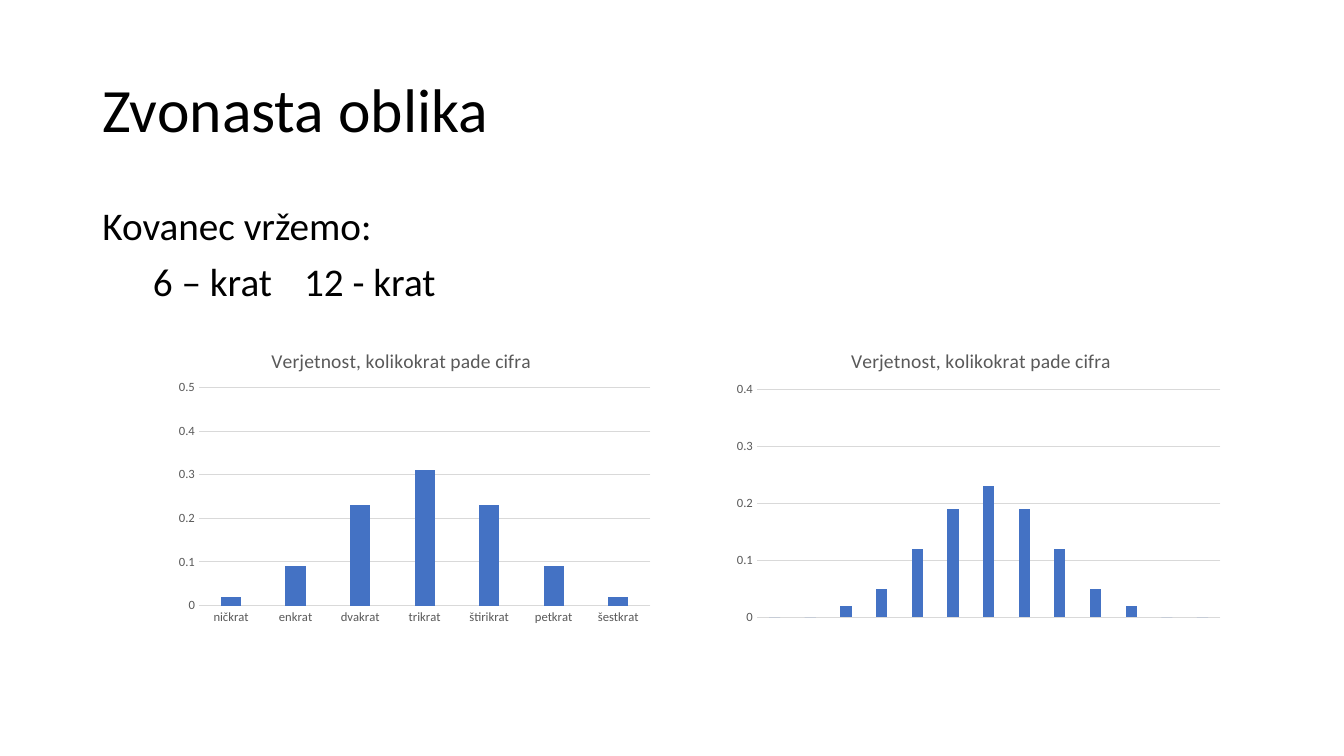
"""Build the slide on the bell shape of coin-toss probabilities."""
from dataclasses import dataclass
from math import comb

from lxml import etree
from pptx import Presentation
from pptx.chart.chart import Chart
from pptx.chart.data import CategoryChartData
from pptx.dml.color import RGBColor
from pptx.enum.chart import XL_CHART_TYPE, XL_TICK_MARK
from pptx.enum.text import MSO_ANCHOR, MSO_AUTO_SIZE, PP_ALIGN
from pptx.oxml import parse_xml
from pptx.oxml.ns import nsdecls, qn
from pptx.util import Pt

COLUMNS = XL_CHART_TYPE.COLUMN_CLUSTERED
NO_TICK = XL_TICK_MARK.NONE
MIDDLE, TOP = MSO_ANCHOR.MIDDLE, MSO_ANCHOR.TOP
NO_FIT = MSO_AUTO_SIZE.NONE
LEFT = PP_ALIGN.LEFT
PX = 9525
FONT = "Calibri"
COLORS = {"text": "000000", "label": "595959", "grid": "D9D9D9", "bar": "4472C4"}


@dataclass(frozen=True)
class Box:
    left: int
    top: int
    width: int
    height: int


@dataclass(frozen=True)
class TossChart:
    box: Box
    categories: list[str]
    maximum: float
    plot: tuple[float, float, float, float]
    show_categories: bool

    @property
    def probabilities(self) -> list[float]:
        tosses = len(self.categories) - 1
        return [round(comb(tosses, k) / 2**tosses, 2) for k in range(tosses + 1)]


TITLE_BOX = Box(88, 38, 1104, 139)
BODY_BOX = Box(88, 192, 1104, 457)
TAB_STOPS = (192, 757)
BODY_LINES = ("Kovanec vržemo:", "\t6 – krat\t12 - krat")
CHART_TITLE = "Verjetnost, kolikokrat pade cifra"
TITLE_CORNER = (0.24, 0.05)
TOSS_CHARTS = (
    TossChart(Box(692, 313, 480, 288), [str(n) for n in range(1, 14)],
              0.4, (0.06, 0.2, 0.92, 0.755), False),
    TossChart(Box(140, 313, 480, 288),
              ["ničkrat", "enkrat", "dvakrat", "trikrat", "štirikrat", "petkrat", "šestkrat"],
              0.5, (0.103, 0.195, 0.897, 0.721), True),
)


def rgb(name: str) -> RGBColor:
    return RGBColor.from_string(COLORS[name])


def style_font(font, size: float, color: str) -> None:
    font.name = FONT
    font.size = Pt(size)
    font.bold = False
    font.color.rgb = rgb(color)


def fill_placeholder(shape, box: Box, lines: tuple[str, ...], size: int, anchor) -> None:
    shape.left, shape.top = box.left * PX, box.top * PX
    shape.width, shape.height = box.width * PX, box.height * PX
    frame = shape.text_frame
    frame.word_wrap = True
    frame.auto_size = NO_FIT
    frame.vertical_anchor = anchor
    for index, line in enumerate(lines):
        para = frame.add_paragraph() if index else frame.paragraphs[0]
        para.alignment = LEFT
        para.line_spacing = 0.9
        para.space_before = Pt(10 if index else 0)
        span = para.add_run()
        span.text = line
        style_font(span.font, size, "text")


def clear_bullet(para, tab_stops: tuple[int, ...]) -> None:
    properties = para._p.get_or_add_pPr()
    properties.set("marL", "0")
    properties.set("indent", "0")
    etree.SubElement(properties, qn("a:buNone"))
    tabs = etree.SubElement(properties, qn("a:tabLst"))
    for stop in tab_stops:
        etree.SubElement(tabs, qn("a:tab"), pos=str(stop * PX), algn="l")


def set_layout(parent, index: int, target: str, fractions: tuple[float, ...]) -> None:
    for old in parent.findall(qn("c:layout")):
        parent.remove(old)
    names = ("x", "y", "w", "h")[:len(fractions)]
    modes = "".join(f'<c:{name}Mode val="edge"/>' for name in names[:2])
    places = "".join(f'<c:{name} val="{value}"/>' for name, value in zip(names, fractions))
    parent.insert(index, parse_xml(
        f'<c:layout {nsdecls("c")}><c:manualLayout>{target}{modes}{places}'
        "</c:manualLayout></c:layout>"))


def style_axes(chart: Chart, toss: TossChart) -> None:
    for axis in (chart.category_axis, chart.value_axis):
        axis.major_tick_mark = axis.minor_tick_mark = NO_TICK
        style_font(axis.tick_labels.font, 9, "label")
    categories, values = chart.category_axis, chart.value_axis
    categories.visible = toss.show_categories
    categories.format.line.color.rgb = rgb("grid")
    categories.format.line.width = Pt(0.75)
    values.minimum_scale, values.maximum_scale = 0, toss.maximum
    values.major_unit = 0.1
    values.format.line.fill.background()
    values.has_major_gridlines = True
    values.major_gridlines.format.line.color.rgb = rgb("grid")
    values.major_gridlines.format.line.width = Pt(0.75)


def add_toss_chart(page, toss: TossChart) -> None:
    data = CategoryChartData()
    data.categories = toss.categories
    data.add_series("Series 1", toss.probabilities)
    box = toss.box
    chart = page.shapes.add_chart(
        COLUMNS, box.left * PX, box.top * PX, box.width * PX, box.height * PX, data).chart
    style_font(chart.font, 10, "text")
    chart.has_legend = False
    chart.has_title = True
    span = chart.chart_title.text_frame.paragraphs[0].add_run()
    span.text = CHART_TITLE
    style_font(span.font, 14, "label")
    chart.chart_title.include_in_layout = False
    set_layout(chart.chart_title._element, 1, "", TITLE_CORNER)
    set_layout(chart._chartSpace.chart.plotArea, 0,
               '<c:layoutTarget val="inner"/>', toss.plot)
    style_axes(chart, toss)
    plot = chart.plots[0]
    plot.gap_width, plot.overlap = 219, -27
    plot.vary_by_categories = False
    fill = plot.series[0].format.fill
    fill.solid()
    fill.fore_color.rgb = rgb("bar")


def main() -> None:
    deck = Presentation()
    deck.slide_width, deck.slide_height = 1280 * PX, 720 * PX
    page = deck.slides.add_slide(deck.slide_layouts[1])
    title, body = page.placeholders
    fill_placeholder(title, TITLE_BOX, ("Zvonasta oblika",), 44, MIDDLE)
    fill_placeholder(body, BODY_BOX, BODY_LINES, 28, TOP)
    for para, stops in zip(body.text_frame.paragraphs, ((), TAB_STOPS)):
        clear_bullet(para, stops)
    for toss in TOSS_CHARTS:
        add_toss_chart(page, toss)
    deck.save("out.pptx")


if __name__ == "__main__":
    main()
